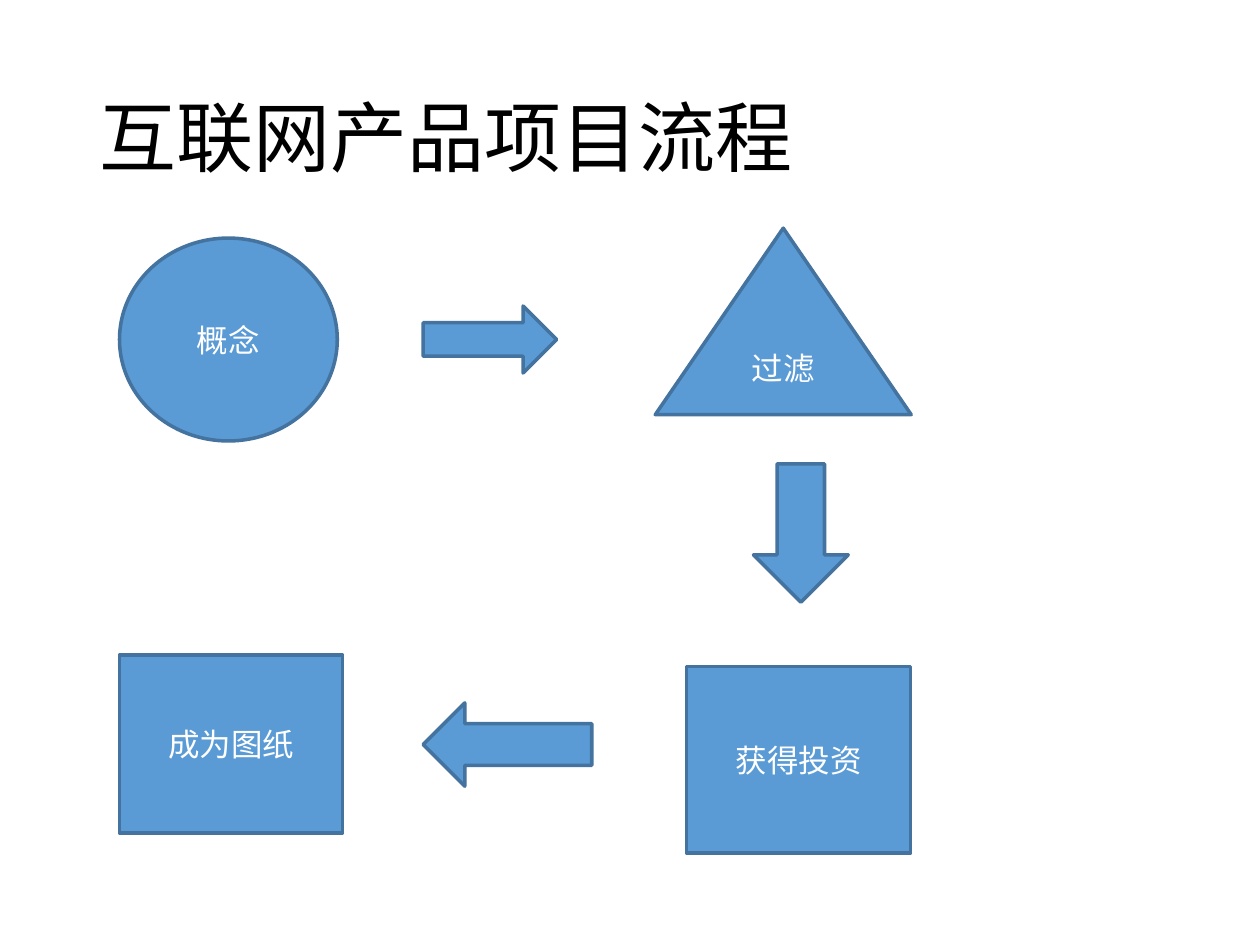
from pptx import Presentation
from pptx.dml.color import RGBColor
from pptx.enum.shapes import MSO_SHAPE
from pptx.enum.text import MSO_ANCHOR, PP_ALIGN
from pptx.util import Cm, Pt

TITLE = "互联网产品项目流程"
COLORS = {"fill": "5B9BD5", "line": "43739E", "label": "FFFFFF", "title": "000000"}

# shape, label, (left, top, width, height) in cm
STEPS = [
    (MSO_SHAPE.OVAL, "概念", (2.41, 4.8, 4.39, 4.09)),
    (MSO_SHAPE.RIGHT_ARROW, "", (8.53, 6.17, 2.69, 1.35)),
    (MSO_SHAPE.ISOSCELES_TRIANGLE, "过滤", (13.21, 4.6, 5.16, 3.76)),
    (MSO_SHAPE.DOWN_ARROW, "", (15.19, 9.35, 1.91, 2.79)),
    (MSO_SHAPE.RECTANGLE, "获得投资", (13.84, 13.44, 4.52, 3.76)),
    (MSO_SHAPE.LEFT_ARROW, "", (8.53, 14.17, 3.4, 1.68)),
    (MSO_SHAPE.RECTANGLE, "成为图纸", (2.41, 13.21, 4.5, 3.58)),
]


def color(name):
    return RGBColor.from_string(COLORS[name])


def write(shape, text, size, font, tint, align):
    frame = shape.text_frame
    frame.word_wrap = True
    frame.vertical_anchor = MSO_ANCHOR.MIDDLE
    para = frame.paragraphs[0]
    para.text = text
    para.alignment = align
    para.font.size = Pt(size)
    para.font.name = font
    para.font.color.rgb = color(tint)
    return para


def add_step(slide, kind, label, box):
    shape = slide.shapes.add_shape(kind, *map(Cm, box))
    shape.shadow.inherit = False
    shape.fill.solid()
    shape.fill.fore_color.rgb = color("fill")
    shape.line.color.rgb = color("line")
    shape.line.width = Pt(2)
    if label:
        write(shape, label, 18, "Calibri", "label", PP_ALIGN.CENTER)


def main():
    deck = Presentation()
    deck.slide_width, deck.slide_height = Cm(25.4), Cm(19.05)
    slide = deck.slides.add_slide(deck.slide_layouts[6])

    head = slide.shapes.add_textbox(Cm(1.75), Cm(1.02), Cm(21.92), Cm(3.68))
    para = write(head, TITLE, 44, "Noto Sans CJK SC", "title", PP_ALIGN.LEFT)
    para.line_spacing = 0.9

    for step in STEPS:
        add_step(slide, *step)
    deck.save("out.pptx")


if __name__ == "__main__":
    main()
